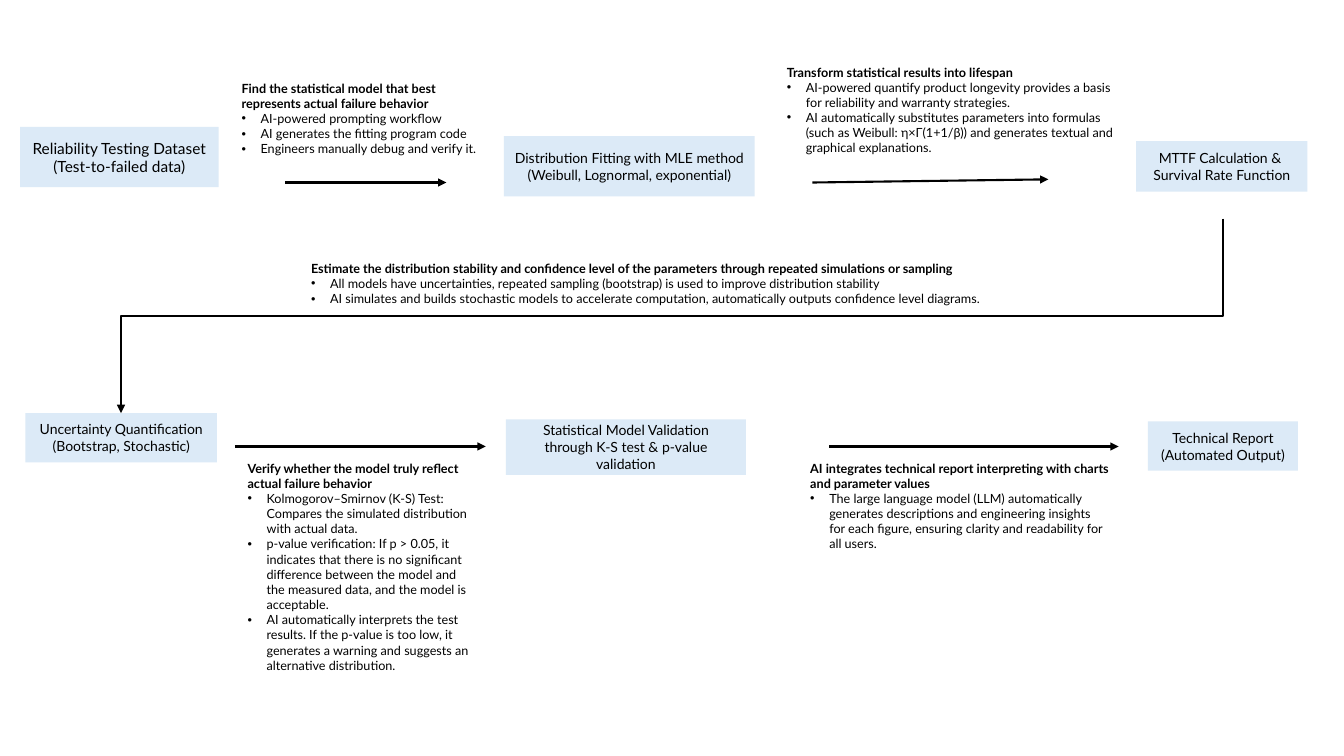
"""Build the AI-assisted reliability analysis workflow slide."""
from typing import NamedTuple

from lxml import etree
from pptx import Presentation
from pptx import util as u
from pptx.dml.color import RGBColor
from pptx.enum import shapes, text
from pptx.oxml import ns

BLACK = RGBColor(0x00, 0x00, 0x00)
PALE_BLUE = RGBColor(0xDC, 0xEA, 0xF7)
FONT = "Lato"
NOTE_SIZE = 9
BULLET_INDENT = u.Cm(0.48)


class Step(NamedTuple):
    """A process box, measured in centimetres."""
    left: float
    top: float
    width: float
    height: float
    wording: str
    size: int = 10


class Note(NamedTuple):
    """A bold heading with bullets below it, measured in centimetres."""
    left: float
    top: float
    width: float
    height: float
    heading: str
    bullets: tuple[str, ...]


class Arrow(NamedTuple):
    """A straight arrow, measured in centimetres."""
    start_x: float
    start_y: float
    end_x: float
    end_y: float


STEPS = (
    Step(0.51, 3.2, 5, 1.52, "Reliability Testing Dataset\n(Test-to-failed data)", 11),
    Step(12.7, 3.43, 6.32, 1.52,
         "Distribution Fitting with MLE method\n(Weibull, Lognormal, exponential)"),
    Step(28.63, 3.56, 4.32, 1.27, "MTTF Calculation & \nSurvival Rate Function"),
    Step(12.75, 10.57, 6.05, 1.4,
         "Statistical Model Validation\nthrough K-S test & p-value validation"),
    Step(0.64, 10.41, 4.83, 1.24, "Uncertainty Quantification\n(Bootstrap, Stochastic)"),
    Step(28.93, 10.62, 3.78, 1.24, "Technical Report\n(Automated Output)"),
)

ARROWS = (
    Arrow(7.19, 4.6, 11.25, 4.6),
    Arrow(20.47, 4.6, 26.42, 4.52),
    Arrow(5.92, 11.25, 12.24, 11.25),
    Arrow(20.9, 11.25, 28.19, 11.25),
)
ROW_RETURN = Arrow(30.81, 5.51, 3.05, 10.41)

NOTES = (
    Note(5.84, 1.91, 6.73, 2.18,
         "Find the statistical model that best represents actual failure behavior",
         ("AI-powered prompting workflow",
          "AI generates the fitting program code",
          "Engineers manually debug and verify it.")),
    Note(19.58, 1.5, 9.04, 2.57,
         "Transform statistical results into lifespan",
         ("AI-powered quantify product longevity provides a basis for reliability "
          "and warranty strategies.",
          "AI automatically substitutes parameters into formulas (such as Weibull: "
          "η×Γ(1+1/β)) and generates textual and graphical explanations.")),
    Note(20.17, 11.48, 8.03, 2.57,
         "AI integrates technical report interpreting with charts and parameter values",
         ("The large language model (LLM) automatically generates descriptions and "
          "engineering insights for each figure, ensuring clarity and readability "
          "for all users.",)),
    Note(7.59, 6.45, 18.19, 1.42,
         "Estimate the distribution stability and confidence level of the parameters "
         "through repeated simulations or sampling",
         ("All models have uncertainties, repeated sampling (bootstrap) is used to "
          "improve distribution stability",
          "AI simulates and builds stochastic models to accelerate computation, "
          "automatically outputs confidence level diagrams.")),
    Note(5.99, 11.48, 6.2, 5.64,
         "Verify whether the model truly reflect actual failure behavior",
         ("Kolmogorov–Smirnov (K-S) Test: Compares the simulated distribution with "
          "actual data.",
          "p-value verification: If p > 0.05, it indicates that there is no "
          "significant difference between the model and the measured data, and the "
          "model is acceptable.",
          "AI automatically interprets the test results. If the p-value is too low, "
          "it generates a warning and suggests an alternative distribution.")),
)


def format_runs(paragraph, size: int, bold: bool = False) -> None:
    """Apply the slide font to every run of a paragraph."""
    for run in paragraph.runs:
        run.font.name = FONT
        run.font.size = u.Pt(size)
        run.font.bold = bold
        run.font.color.rgb = BLACK


def add_bullet(paragraph) -> None:
    """Give a paragraph a round bullet and a hanging indent."""
    properties = paragraph._p.get_or_add_pPr()
    properties.set("marL", str(BULLET_INDENT))
    properties.set("indent", str(-BULLET_INDENT))
    etree.SubElement(properties, ns.qn("a:buFont")).set("typeface", "Arial")
    etree.SubElement(properties, ns.qn("a:buChar")).set("char", "•")


def draw_step(slide, step: Step) -> None:
    """Draw a filled process box with centred text."""
    shape = slide.shapes.add_shape(
        shapes.MSO_SHAPE.RECTANGLE, u.Cm(step.left), u.Cm(step.top),
        u.Cm(step.width), u.Cm(step.height))
    shape.shadow.inherit = False
    shape.fill.solid()
    shape.fill.fore_color.rgb = PALE_BLUE
    shape.line.fill.background()
    shape.text_frame.text = step.wording
    shape.text_frame.vertical_anchor = text.MSO_ANCHOR.MIDDLE
    for paragraph in shape.text_frame.paragraphs:
        paragraph.alignment = text.PP_ALIGN.CENTER
        format_runs(paragraph, step.size)


def draw_note(slide, note: Note) -> None:
    """Draw a heading and its bullets in a text box."""
    shape = slide.shapes.add_textbox(
        u.Cm(note.left), u.Cm(note.top), u.Cm(note.width), u.Cm(note.height))
    frame = shape.text_frame
    frame.word_wrap = True
    frame.auto_size = text.MSO_AUTO_SIZE.SHAPE_TO_FIT_TEXT
    frame.text = note.heading
    format_runs(frame.paragraphs[0], NOTE_SIZE, bold=True)
    for bullet in note.bullets:
        paragraph = frame.add_paragraph()
        paragraph.text = bullet
        add_bullet(paragraph)
        format_runs(paragraph, NOTE_SIZE)


def draw_arrow(slide, arrow: Arrow, kind=shapes.MSO_CONNECTOR.STRAIGHT):
    """Draw a black connector with a triangular arrowhead."""
    connector = slide.shapes.add_connector(
        kind, u.Cm(arrow.start_x), u.Cm(arrow.start_y),
        u.Cm(arrow.end_x), u.Cm(arrow.end_y))
    connector.line.color.rgb = BLACK
    connector.line.width = u.Pt(1.5)
    etree.SubElement(connector.line._get_or_add_ln(), ns.qn("a:tailEnd")).set("type", "triangle")
    etree.SubElement(connector._element.spPr, ns.qn("a:effectLst"))
    return connector


def draw_row_return(slide, route: Arrow) -> None:
    """Draw an elbow arrow that leaves downwards, turned a quarter about its centre."""
    centre_x = (route.start_x + route.end_x) / 2
    centre_y = (route.start_y + route.end_y) / 2
    half_width = (route.end_y - route.start_y) / 2
    half_height = (route.start_x - route.end_x) / 2
    unturned = Arrow(centre_x - half_width, centre_y - half_height,
                     centre_x + half_width, centre_y + half_height)
    connector = draw_arrow(slide, unturned, shapes.MSO_CONNECTOR.ELBOW)
    connector._element.spPr.find(ns.qn("a:xfrm")).set("rot", str(90 * 60000))


def main() -> None:
    """Assemble and save the slide."""
    presentation = Presentation()
    presentation.slide_width = u.Cm(33.87)
    presentation.slide_height = u.Cm(19.05)
    slide = presentation.slides.add_slide(presentation.slide_layouts[6])
    for step in STEPS:
        draw_step(slide, step)
    for arrow in ARROWS:
        draw_arrow(slide, arrow)
    draw_row_return(slide, ROW_RETURN)
    for note in NOTES:
        draw_note(slide, note)
    presentation.save("out.pptx")


if __name__ == "__main__":
    main()
